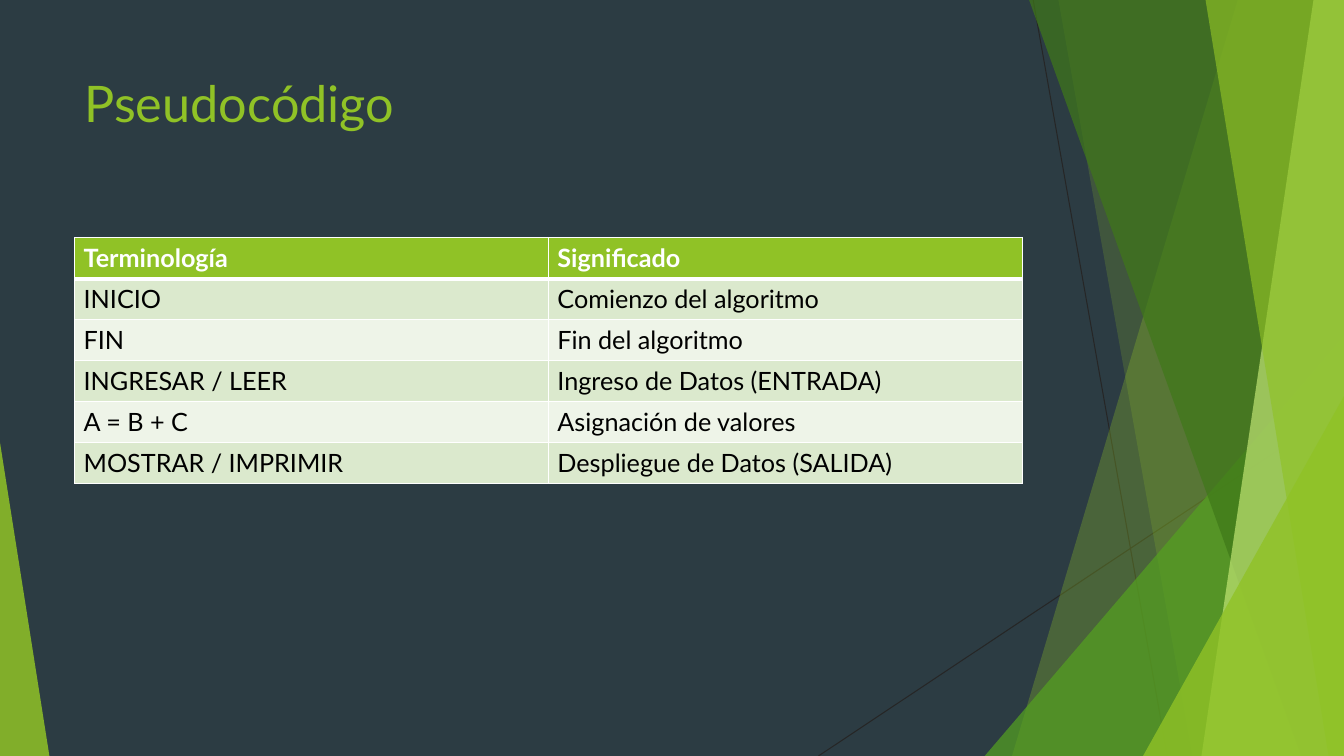
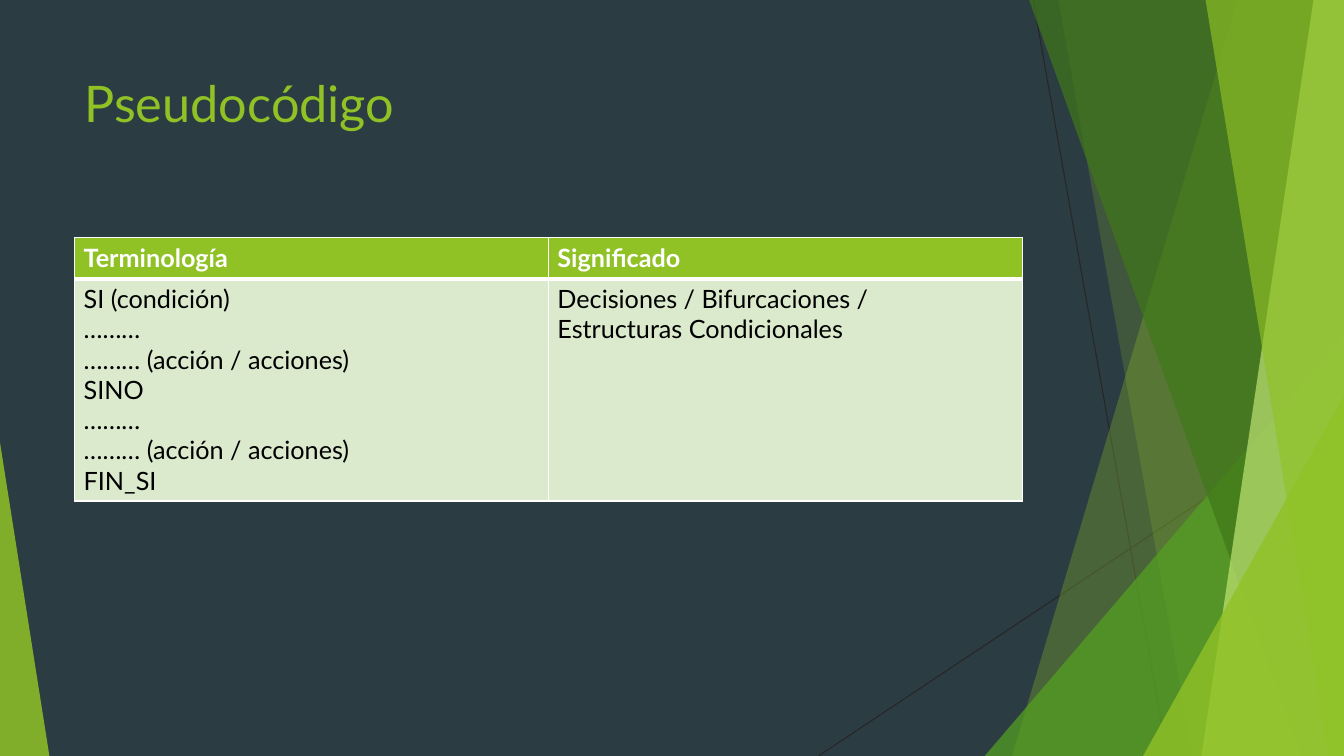
from pptx import Presentation
from pptx.dml.color import RGBColor
from pptx.enum.shapes import MSO_CONNECTOR, MSO_SHAPE
from pptx.enum.text import MSO_ANCHOR
from pptx.oxml.ns import qn
from pptx.util import Pt
from lxml.etree import SubElement

# Content: one title and one table per slide; a cell is a list of lines
HEAD = (["Terminología"], ["Significado"])
PAGES = [
    ("Pseudocódigo", [
        HEAD,
        (["INICIO"], ["Comienzo del algoritmo"]),
        (["FIN"], ["Fin del algoritmo"]),
        (["INGRESAR / LEER"], ["Ingreso de Datos (ENTRADA)"]),
        (["A = B + C"], ["Asignación de valores"]),
        (["MOSTRAR / IMPRIMIR"], ["Despliegue de Datos (SALIDA)"]),
    ]),
    ("Pseudocódigo", [
        HEAD,
        (["SI (condición)", "………", "……… (acción / acciones)", "SINO",
          "………", "……… (acción / acciones)", "FIN_SI"],
         ["Decisiones / Bifurcaciones /", "Estructuras Condicionales"]),
    ]),
]

# Shared style, lengths in points
WIDE, HIGH = 960, 540
FONT = "Lato"
COLORS = {
    "back": "2C3C43", "line": "262626", "lime": "90C226", "leaf": "54A021",
    "moss": "3F7819", "pale": "C0E474", "odd": "DBE9CD", "even": "EEF4E8",
    "white": "FFFFFF", "black": "000000",
}
LEFT, SPAN = 53.3, 676.8
TITLE_TOP, TITLE_HIGH = 48.2, 103.7
TABLE_TOP, LINE_HIGH, ROW_PAD = 169.9, 21.6, 7.6

# Thin lines: start x, y and end x, y
RAYS = [(738, 0, 833.8, HIGH), (WIDE, 290.2, 584.6, HIGH)]
# Bands reach the right edge: x at top, x at foot, colour, opacity
# Wedges stand on the foot: left, top, width, tip (0 left, 1 right), colour, opacity
DECOR = [
    ("band", (884.2, 722.9), "lime", 30),
    ("band", (756, 851.8), "lime", 20),
    ("wedge", (703.4, 239.8, 256.6, 1), "leaf", 72),
    ("band", (735.1, 929.5), "moss", 70),
    ("band", (938.2, 858.2), "pale", 70),
    ("band", (861.1, 949), "lime", 65),
    ("wedge", (816.5, 283, 143.5, 1), "lime", 80),
    ("wedge", (0, 316.1, 35.3, 0), "lime", 85),
]


def rgb(name):
    return RGBColor.from_string(COLORS[name])


def write(frame, lines, size=18, color="black", bold=False):
    frame.word_wrap = True
    for i, line in enumerate(lines):
        para = frame.paragraphs[0] if i == 0 else frame.add_paragraph()
        run = para.add_run()
        run.text = line
        font = run.font
        font.name, font.size, font.bold = FONT, Pt(size), bold
        font.color.rgb = rgb(color)


def add_ray(slide, ends):
    ray = slide.shapes.add_connector(MSO_CONNECTOR.STRAIGHT, *map(Pt, ends))
    ray.line.color.rgb = rgb("line")
    ray.line.width = Pt(0.75)
    SubElement(ray.element.spPr, qn("a:effectLst"))


def add_band(slide, top, foot):
    form = slide.shapes.build_freeform(Pt(top), 0)
    points = [(WIDE, 0), (WIDE, HIGH), (foot, HIGH)]
    form.add_line_segments([(Pt(x), Pt(y)) for x, y in points], close=True)
    return form.convert_to_shape()


def add_wedge(slide, left, top, width, tip):
    wedge = slide.shapes.add_shape(
        MSO_SHAPE.ISOSCELES_TRIANGLE, Pt(left), Pt(top), Pt(width), Pt(HIGH - top))
    wedge.adjustments[0] = tip
    return wedge


def add_decor(slide):
    for ends in RAYS:
        add_ray(slide, ends)
    makers = {"band": add_band, "wedge": add_wedge}
    for kind, place, color, alpha in DECOR:
        shape = makers[kind](slide, *place)
        shape.shadow.inherit = False
        shape.line.fill.background()
        shape.fill.solid()
        shape.fill.fore_color.rgb = rgb(color)
        tint = shape.element.spPr.find(".//" + qn("a:srgbClr"))
        SubElement(tint, qn("a:alpha")).set("val", str(alpha * 1000))


def add_title(slide, text):
    box = slide.shapes.add_textbox(Pt(LEFT), Pt(TITLE_TOP), Pt(SPAN), Pt(TITLE_HIGH))
    box.text_frame.vertical_anchor = MSO_ANCHOR.TOP
    write(box.text_frame, [text], size=36, color="lime")


def add_edges(cell, **widths):
    # Borders go before the cell fill
    props = cell._tc.get_or_add_tcPr()
    for side in "LRTB":
        edge = SubElement(props, qn("a:ln" + side), w=str(Pt(widths.get(side, 1))))
        fill = SubElement(edge, qn("a:solidFill"))
        SubElement(fill, qn("a:srgbClr"), val=COLORS["white"])


def add_grid(slide, rows):
    highs = [ROW_PAD + LINE_HIGH * max(map(len, row)) for row in rows]
    count = len(rows[0])
    table = slide.shapes.add_table(
        len(rows), count, Pt(LEFT), Pt(TABLE_TOP), Pt(SPAN), Pt(sum(highs))).table
    table.horz_banding = False
    for col in table.columns:
        col.width = Pt(SPAN / count)
    for r, row in enumerate(rows):
        table.rows[r].height = Pt(highs[r])
        head = r == 0
        for c, lines in enumerate(row):
            cell = table.cell(r, c)
            cell.margin_left = cell.margin_right = Pt(6.5)
            cell.margin_top = cell.margin_bottom = Pt(3.6)
            add_edges(cell, T=3 if r == 1 else 1, B=3 if head else 1)
            cell.fill.solid()
            cell.fill.fore_color.rgb = rgb("lime" if head else "odd" if r % 2 else "even")
            write(cell.text_frame, lines, color="white" if head else "black", bold=head)


def main():
    prs = Presentation()
    prs.slide_width, prs.slide_height = Pt(WIDE), Pt(HIGH)
    back = prs.slide_master.background.fill
    back.solid()
    back.fore_color.rgb = rgb("back")
    for title, rows in PAGES:
        slide = prs.slides.add_slide(prs.slide_layouts[6])
        add_decor(slide)
        add_title(slide, title)
        add_grid(slide, rows)
    prs.save("out.pptx")


if __name__ == "__main__":
    main()
